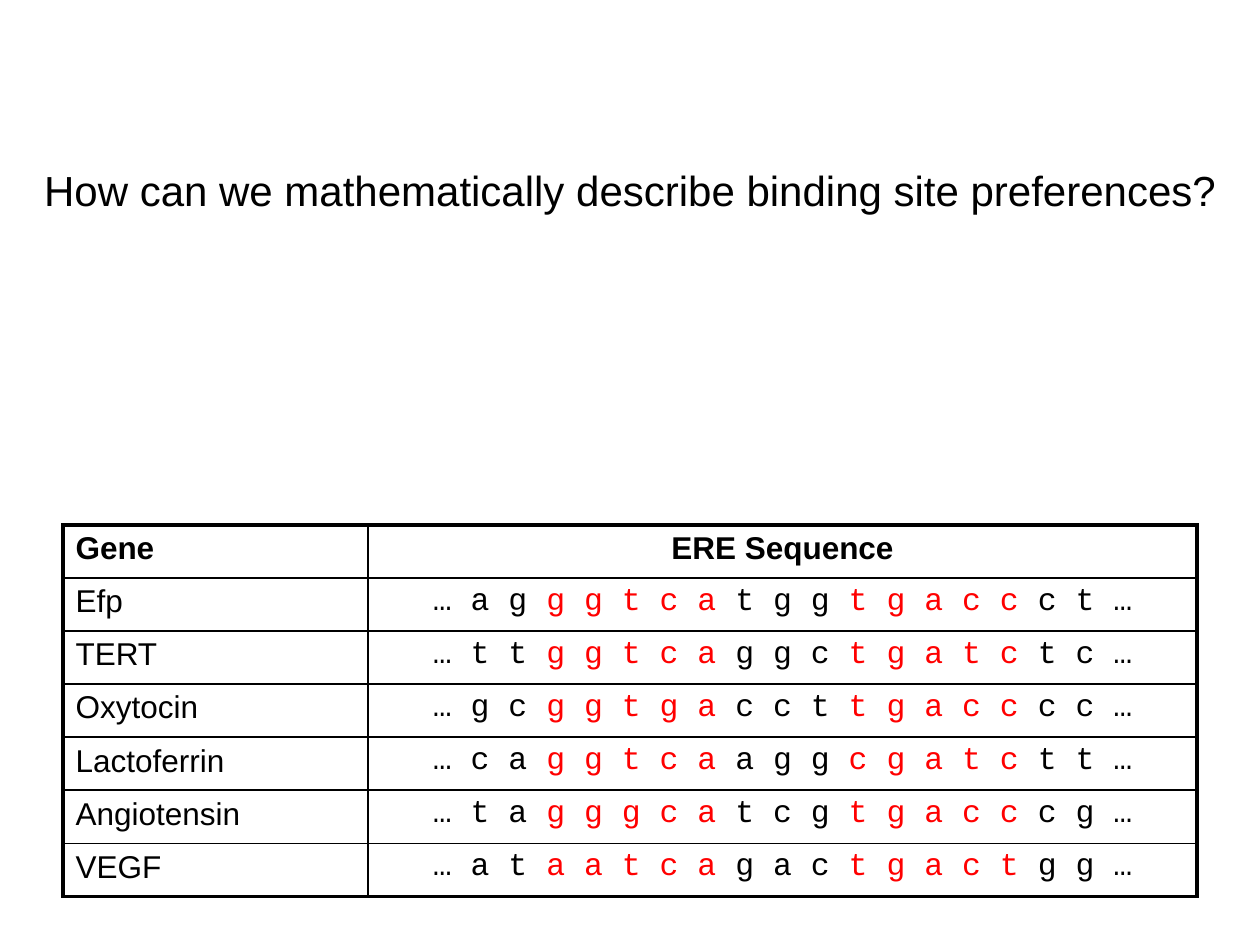
from lxml import etree
from pptx import Presentation
from pptx.dml.color import RGBColor
from pptx.enum.text import MSO_AUTO_SIZE, PP_ALIGN
from pptx.oxml.ns import qn
from pptx.util import Cm, Pt

CENTER = PP_ALIGN.CENTER
LEFT = PP_ALIGN.LEFT
FIT_SHAPE = MSO_AUTO_SIZE.SHAPE_TO_FIT_TEXT

COLORS = {"text": "000000", "site": "FF0000", "border": "000000"}
THIN, THICK = Pt(1), Pt(2.25)

HEADERS = ("Gene", "ERE Sequence")
GENES = [
    ("Efp", "ag ggtca tgg tgacc ct"),
    ("TERT", "tt ggtca ggc tgatc tc"),
    ("Oxytocin", "gc ggtga cct tgacc cc"),
    ("Lactoferrin", "ca ggtca agg cgatc tt"),
    ("Angiotensin", "ta gggca tcg tgacc cg"),
    ("VEGF", "at aatca gac tgact gg"),
]


def rgb(name):
    return RGBColor.from_string(COLORS[name])


def set_font(p, size, name="Arial", bold=False):
    p.font.size = Pt(size)
    p.font.name = name
    p.font.bold = bold
    p.font.color.rgb = rgb("text")


def set_borders(cell, widths):
    tc_pr = cell._tc.get_or_add_tcPr()
    for i, (side, width) in enumerate(widths.items()):
        ln = etree.Element(qn(f"a:ln{side}"), w=str(width))
        fill = etree.SubElement(ln, qn("a:solidFill"))
        etree.SubElement(fill, qn("a:srgbClr"), val=COLORS["border"])
        tc_pr.insert(i, ln)


def add_sequence(p, sequence):
    lead, left_site, spacer, right_site, tail = (" ".join(s) for s in sequence.split())
    parts = [f"… {lead} ", left_site, f" {spacer} ", right_site, f" {tail} …"]
    for i, text in enumerate(parts):
        r = p.add_run()
        r.text = text
        if i % 2:
            r.font.color.rgb = rgb("site")


def add_question(slide, left, top, width, height):
    tf = slide.shapes.add_textbox(left, top, width, height).text_frame
    tf.word_wrap = False
    tf.auto_size = FIT_SHAPE
    p = tf.paragraphs[0]
    p.text = "How can we mathematically describe binding site preferences?"
    set_font(p, 24)


def add_gene_table(slide, left, top, width, height):
    rows = [HEADERS] + GENES
    table = slide.shapes.add_table(len(rows), 2, left, top, width, height).table
    table.first_row = False
    table.horz_banding = False
    table.columns[0].width = Cm(6.15)
    table.columns[1].width = width - Cm(6.15)
    last = len(rows) - 1
    for i, row in enumerate(rows):
        for j, text in enumerate(row):
            cell = table.cell(i, j)
            cell.fill.background()
            set_borders(cell, {
                "L": THICK if j == 0 else THIN,
                "R": THICK if j == 1 else THIN,
                "T": THICK if i == 0 else THIN,
                "B": THICK if i == last else THIN,
            })
            p = cell.text_frame.paragraphs[0]
            p.alignment = CENTER if j else LEFT
            if i and j:
                add_sequence(p, text)
                set_font(p, 18, "Courier New")
            else:
                p.text = text
                set_font(p, 18, bold=i == 0)


def main():
    prs = Presentation()
    prs.slide_width, prs.slide_height = Cm(25.4), Cm(19.05)
    slide = prs.slides.add_slide(prs.slide_layouts[6])
    add_gene_table(slide, Cm(1.27), Cm(10.58), Cm(22.86), Cm(7.49))
    add_question(slide, Cm(0.64), Cm(3.2), Cm(24.13), Cm(1.27))
    prs.save("out.pptx")


if __name__ == "__main__":
    main()
